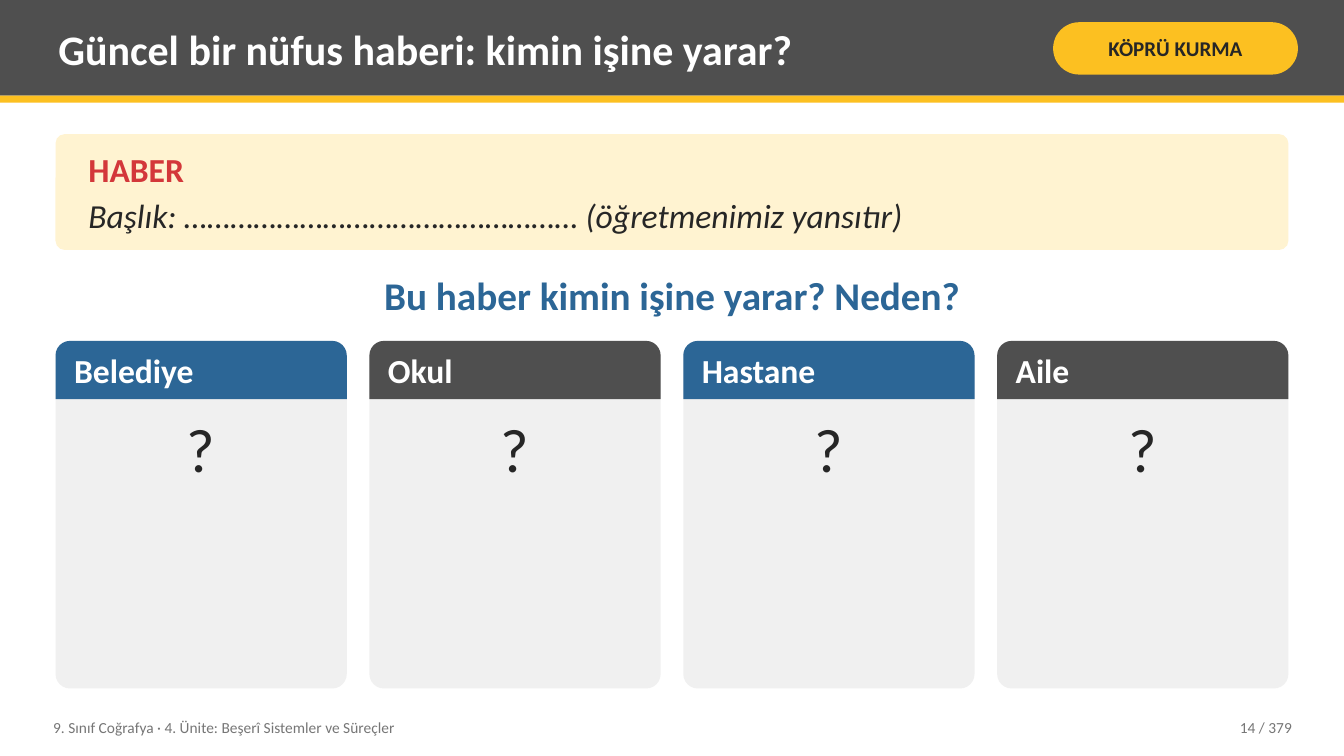
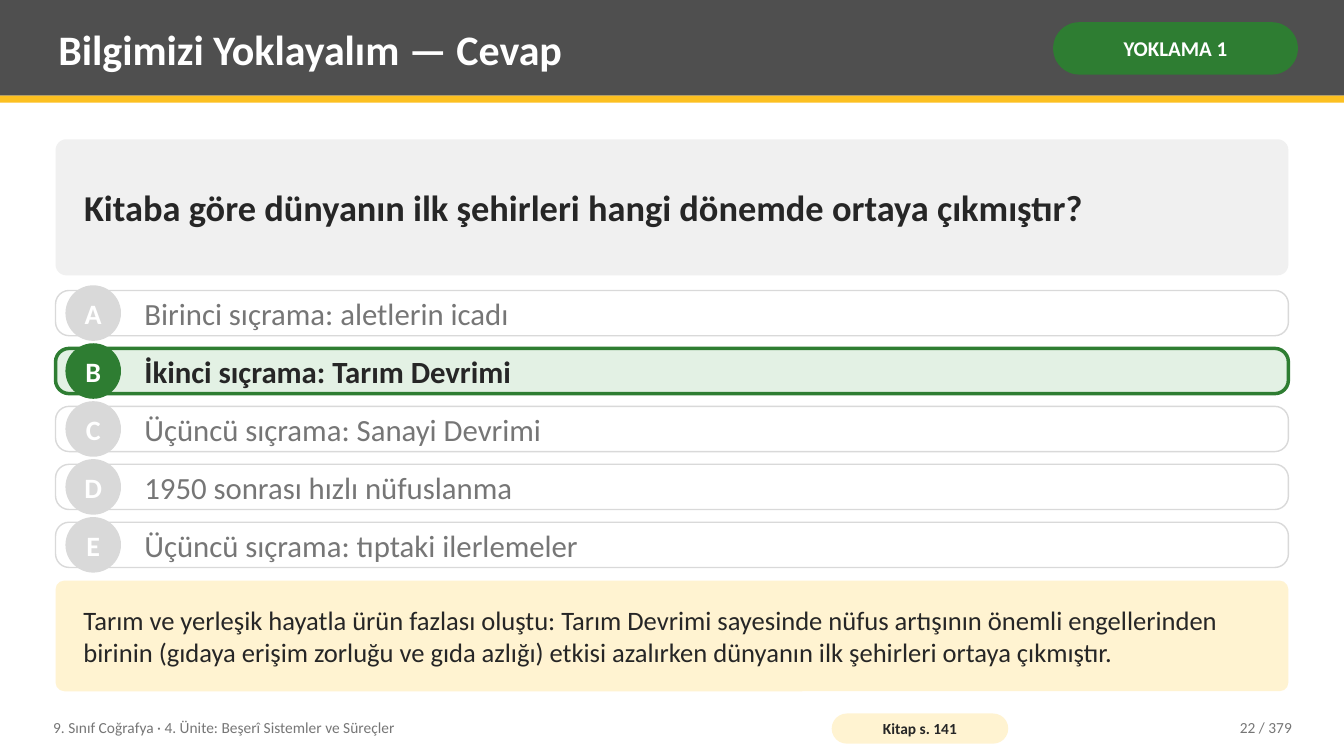
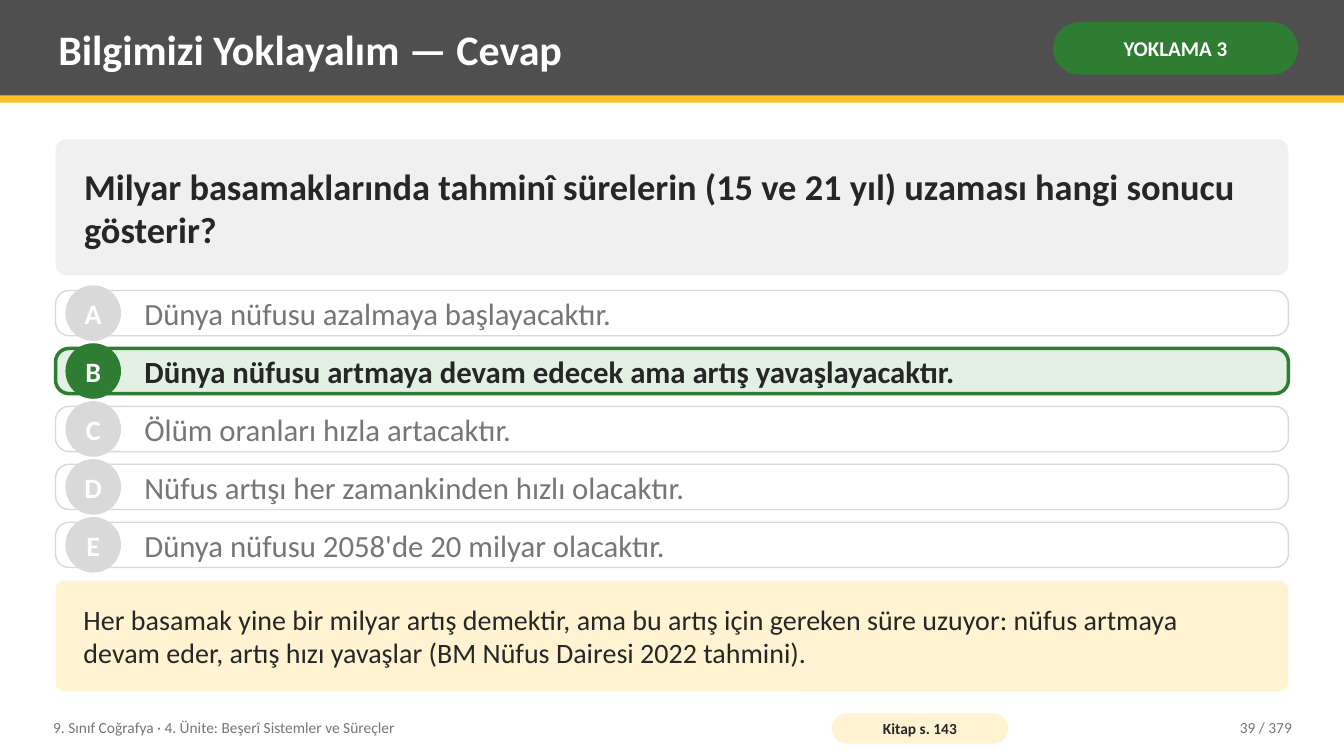
from dataclasses import dataclass

from pptx import Presentation
from pptx.dml.color import RGBColor
from pptx.enum.shapes import MSO_SHAPE as Kind
from pptx.enum.text import MSO_ANCHOR as Anchor, MSO_AUTO_SIZE as Fit, PP_ALIGN as Align
from pptx.shapes.autoshape import Shape
from pptx.slide import Slide
from pptx.text.text import TextFrame
from pptx.util import Cm, Pt

# Colours
WHITE = RGBColor(0xFF, 0xFF, 0xFF)
INK = RGBColor(0x26, 0x26, 0x26)
DARK = RGBColor(0x4F, 0x4F, 0x4F)
MUTED = RGBColor(0x76, 0x76, 0x76)
SILVER = RGBColor(0xD9, 0xD9, 0xD9)
PALE = RGBColor(0xF0, 0xF0, 0xF0)
YELLOW = RGBColor(0xFC, 0xC0, 0x21)
CREAM = RGBColor(0xFF, 0xF3, 0xD1)
BLUE = RGBColor(0x2C, 0x66, 0x96)
RED = RGBColor(0xD3, 0x37, 0x3A)
GREEN = RGBColor(0x2E, 0x7D, 0x32)
MINT = RGBColor(0xE3, 0xF1, 0xE4)

# Shared measures, in centimetres
FONT = "Calibri"
PAGE_W, PAGE_H = 33.87, 19.05
LEFT, WIDE = 1.4, 31.07
FOOT = "9. Sınıf Coğrafya · 4. Ünite: Beşerî Sistemler ve Süreçler"
TOTAL = 379


@dataclass(frozen=True)
class Area:
    x: float
    y: float
    w: float
    h: float


@dataclass(frozen=True)
class Style:
    size: float
    color: RGBColor = INK
    bold: bool = False
    slant: bool = False
    align: Align = Align.LEFT
    anchor: Anchor = Anchor.MIDDLE
    pad: tuple[float, float, float, float] = (0.2, 0.1, 0.2, 0.1)
    wrap: bool = True


@dataclass(frozen=True)
class Head:
    title: str
    tag: str
    fill: RGBColor
    ink: RGBColor
    page: int


@dataclass(frozen=True)
class Quiz:
    head: Head
    ask: str
    picks: tuple[str, ...]
    right: int
    note: str
    size: int
    book: str


TITLE = Style(30, WHITE, True)
NEWS = Style(24, RED, True, pad=(0.76, 0.2, 0.76, 0.2))
LABEL = Style(24, WHITE, True, pad=(0.36, 0, 0.36, 0.1))
MARK = Style(44, align=Align.CENTER, anchor=Anchor.TOP, pad=(0.4, 1.67, 0.4, 0.1))
PANEL = (0.64, 0.2, 0.64, 0.2)
PICK = (2.14, 0, 0.6, 0)
DOT = Style(20, WHITE, True, align=Align.CENTER, pad=(0, 0, 0, 0), wrap=False)


def write(frame: TextFrame, text: str, style: Style) -> None:
    frame.text = text
    frame.word_wrap = style.wrap
    frame.auto_size = Fit.NONE
    frame.vertical_anchor = style.anchor
    (frame.margin_left, frame.margin_top,
     frame.margin_right, frame.margin_bottom) = map(Cm, style.pad)
    for line in frame.paragraphs:
        line.alignment = style.align
        for run in line.runs:
            font = run.font
            font.name, font.size = FONT, Pt(style.size)
            font.bold, font.italic = style.bold, style.slant
            font.color.rgb = style.color


def place(shape: Shape, area: Area) -> None:
    shape.left, shape.top = Cm(area.x), Cm(area.y)
    shape.width, shape.height = Cm(area.w), Cm(area.h)


def block(slide: Slide, kind: Kind, area: Area, fill: RGBColor,
          text: str = "", style: Style | None = None, curve: float | None = None,
          edge: tuple[RGBColor, float] | None = None) -> Shape:
    shape = slide.shapes.add_shape(kind, Cm(area.x), Cm(area.y), Cm(area.w), Cm(area.h))
    shape.shadow.inherit = False
    shape.fill.solid()
    shape.fill.fore_color.rgb = fill
    if curve is not None:
        shape.adjustments[0] = curve
    if edge:
        shape.line.color.rgb, shape.line.width = edge[0], Pt(edge[1])
    else:
        shape.line.fill.background()
    if style:
        write(shape.text_frame, text, style)
    return shape


def label(slide: Slide, area: Area, text: str, style: Style) -> None:
    box = slide.shapes.add_textbox(Cm(area.x), Cm(area.y), Cm(area.w), Cm(area.h))
    write(box.text_frame, text, style)


def start(deck: Presentation, head: Head) -> Slide:
    """Add a slide with its band, title, tag and footer."""
    slide = deck.slides.add_slide(deck.slide_layouts.get_by_name("Title Only"))
    block(slide, Kind.RECTANGLE, Area(0, 0, PAGE_W, 2.41), DARK)
    block(slide, Kind.RECTANGLE, Area(0, 2.41, PAGE_W, 0.18), YELLOW)

    # The title must lie above the band
    title = slide.shapes.title
    slide.shapes.element.append(title.element)
    place(title, Area(1.27, 0.18, 24.77, 2.08))
    write(title.text_frame, head.title, TITLE)

    block(slide, Kind.ROUNDED_RECTANGLE, Area(26.54, 0.56, 6.17, 1.32), head.fill, head.tag,
          Style(15, head.ink, True, align=Align.CENTER, pad=(0.13, 0.05, 0.13, 0.05)), 0.5)
    label(slide, Area(1.14, 17.88, 19.3, 0.91), FOOT, Style(11, MUTED))
    label(slide, Area(28.7, 17.88, 4.06, 0.91), f"{head.page} / {TOTAL}",
          Style(11, MUTED, align=Align.RIGHT))
    return slide


def draw_news(deck: Presentation, head: Head, names: tuple[str, ...]) -> None:
    slide = start(deck, head)

    # News panel
    panel = block(slide, Kind.ROUNDED_RECTANGLE, Area(LEFT, 3.38, WIDE, 2.92), CREAM,
                  "HABER\nBaşlık: …………………………………………… (öğretmenimiz yansıtır)", NEWS, 0.08)
    top, line = panel.text_frame.paragraphs
    top.space_after = Pt(4)
    font = line.runs[0].font
    font.bold, font.italic, font.color.rgb = False, True, INK

    label(slide, Area(LEFT, 6.68, WIDE, 1.52), "Bu haber kimin işine yarar? Neden?",
          Style(28, BLUE, True, align=Align.CENTER))

    # One card for each party
    gap, y = 0.57, 8.59
    w = (WIDE - gap * (len(names) - 1)) / len(names)
    for i, name in enumerate(names):
        x = LEFT + i * (w + gap)
        block(slide, Kind.ROUNDED_RECTANGLE, Area(x, y, w, 8.76), PALE, "?", MARK, 0.05)
        block(slide, Kind.ROUND_2_SAME_RECTANGLE, Area(x, y, w, 1.47),
              DARK if i % 2 else BLUE, name, LABEL, 0.25)


def draw_quiz(deck: Presentation, quiz: Quiz) -> None:
    slide = start(deck, quiz.head)
    block(slide, Kind.ROUNDED_RECTANGLE, Area(LEFT, 3.51, WIDE, 3.43), PALE, quiz.ask,
          Style(26, bold=True, pad=PANEL), 0.08)

    # Choices, with the right one lit
    for i, text in enumerate(quiz.picks):
        hit = i == quiz.right
        y = 7.32 + i * 1.46
        tone = GREEN if hit else SILVER
        block(slide, Kind.ROUNDED_RECTANGLE, Area(LEFT, y, WIDE, 1.14),
              MINT if hit else WHITE, text,
              Style(22, INK if hit else MUTED, hit, pad=PICK), 0.3,
              (tone, 2.5 if hit else 1))
        block(slide, Kind.OVAL, Area(1.65, y - 0.13, 1.4, 1.4), tone, "ABCDE"[i], DOT)

    # Reason and book page
    block(slide, Kind.ROUNDED_RECTANGLE, Area(LEFT, 14.63, WIDE, 2.79), CREAM, quiz.note,
          Style(quiz.size, pad=PANEL), 0.08)
    block(slide, Kind.ROUNDED_RECTANGLE, Area(20.96, 17.98, 4.45, 0.76), CREAM, quiz.book,
          Style(11, bold=True, align=Align.CENTER, pad=(0.1, 0, 0.1, 0)), 0.5)


QUIZ_TITLE = "Bilgimizi Yoklayalım — Cevap"
QUIZZES = (
    Quiz(
        Head(QUIZ_TITLE, "YOKLAMA 1", GREEN, WHITE, 22),
        "Kitaba göre dünyanın ilk şehirleri hangi dönemde ortaya çıkmıştır?",
        ("Birinci sıçrama: aletlerin icadı",
         "İkinci sıçrama: Tarım Devrimi",
         "Üçüncü sıçrama: Sanayi Devrimi",
         "1950 sonrası hızlı nüfuslanma",
         "Üçüncü sıçrama: tıptaki ilerlemeler"),
        1,
        "Tarım ve yerleşik hayatla ürün fazlası oluştu: Tarım Devrimi sayesinde nüfus "
        "artışının önemli engellerinden birinin (gıdaya erişim zorluğu ve gıda azlığı) "
        "etkisi azalırken dünyanın ilk şehirleri ortaya çıkmıştır.",
        19,
        "Kitap s. 141",
    ),
    Quiz(
        Head(QUIZ_TITLE, "YOKLAMA 3", GREEN, WHITE, 39),
        "Milyar basamaklarında tahminî sürelerin (15 ve 21 yıl) uzaması hangi sonucu gösterir?",
        ("Dünya nüfusu azalmaya başlayacaktır.",
         "Dünya nüfusu artmaya devam edecek ama artış yavaşlayacaktır.",
         "Ölüm oranları hızla artacaktır.",
         "Nüfus artışı her zamankinden hızlı olacaktır.",
         "Dünya nüfusu 2058'de 20 milyar olacaktır."),
        1,
        "Her basamak yine bir milyar artış demektir, ama bu artış için gereken süre uzuyor: "
        "nüfus artmaya devam eder, artış hızı yavaşlar (BM Nüfus Dairesi 2022 tahmini).",
        20,
        "Kitap s. 143",
    ),
)


def main() -> None:
    deck = Presentation()
    deck.slide_width, deck.slide_height = Cm(PAGE_W), Cm(PAGE_H)
    draw_news(deck, Head("Güncel bir nüfus haberi: kimin işine yarar?", "KÖPRÜ KURMA",
                         YELLOW, INK, 14),
              ("Belediye", "Okul", "Hastane", "Aile"))
    for quiz in QUIZZES:
        draw_quiz(deck, quiz)
    deck.save("out.pptx")


if __name__ == "__main__":
    main()
